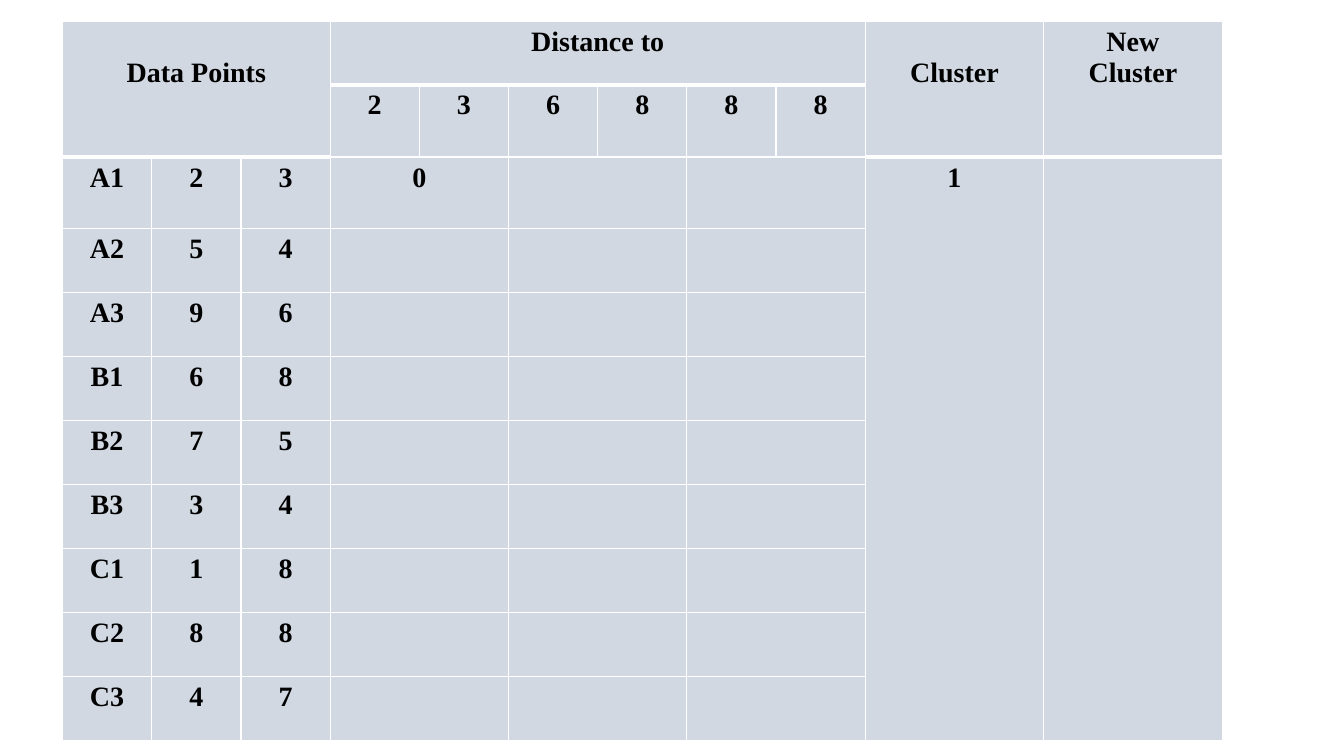
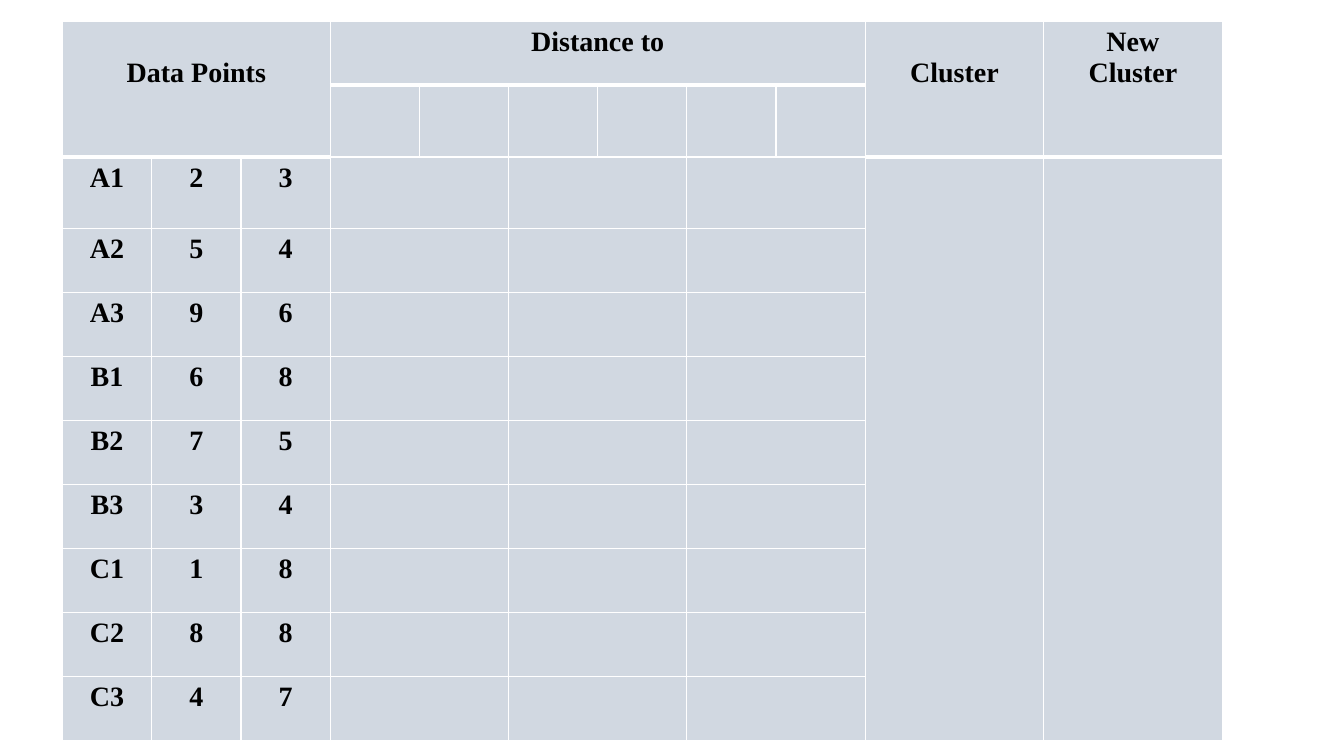
from dataclasses import dataclass

from lxml.etree import SubElement
from pptx import Presentation
from pptx.dml.color import RGBColor
from pptx.enum.text import PP_ALIGN
from pptx.oxml.ns import qn
from pptx.util import Inches, Pt


@dataclass(frozen=True)
class Theme:
    font: str = "Times New Roman"
    size: int = 20
    text: str = "000000"
    fill: str = "ADB9CA"
    opacity: int = 55
    rule: str = "FFFFFF"
    rule_width: int = 3


THEME = Theme()

POINTS = [("A1", 2, 3), ("A2", 5, 4), ("A3", 9, 6),
          ("B1", 6, 8), ("B2", 7, 5), ("B3", 3, 4),
          ("C1", 1, 8), ("C2", 8, 8), ("C3", 4, 7)]

# Header cells: row, column, row span, column span, text, top margin
HEADERS = [(0, 0, 2, 3, "Data Points", 0.36),
           (0, 3, 1, 6, "Distance to", 0.05),
           (0, 9, 2, 1, "Cluster", 0.36),
           (0, 10, 2, 1, "New\nCluster", 0.05)]

COLUMNS = [0.885] * 9 + [1.77] * 2
ROWS = [0.63, 0.71, 0.71] + [0.635] * 8
CENTROID_COLUMNS = range(3, 9)
DISTANCE_COLUMNS = range(3, 9, 2)
CLUSTER_COLUMNS = (9, 10)


def write(cell, text):
    cell.text = str(text)
    for p in cell.text_frame.paragraphs:
        p.alignment = PP_ALIGN.CENTER
        p.font.name = THEME.font
        p.font.size = Pt(THEME.size)
        p.font.bold = True
        p.font.color.rgb = RGBColor.from_string(THEME.text)


def merge(table, row, col, rows, cols):
    cell = table.cell(row, col)
    if rows * cols > 1:
        cell.merge(table.cell(row + rows - 1, col + cols - 1))
    return cell


def underline(cell):
    ln = SubElement(cell._tc.get_or_add_tcPr(), qn("a:lnB"),
                    w=str(Pt(THEME.rule_width)))
    fill = SubElement(ln, qn("a:solidFill"))
    SubElement(fill, qn("a:srgbClr"), val=THEME.rule)


def tint(cell):
    cell.fill.solid()
    cell.fill.fore_color.rgb = RGBColor.from_string(THEME.fill)
    color = cell._tc.tcPr.find(qn("a:solidFill")).find(qn("a:srgbClr"))
    SubElement(color, qn("a:alpha"), val=str(THEME.opacity * 1000))


def add_header(table, centroids):
    for row, col, rows, cols, text, top in HEADERS:
        cell = merge(table, row, col, rows, cols)
        write(cell, text)
        cell.margin_top = Inches(top)
        for r in range(row, row + rows):
            for c in range(col, col + cols):
                underline(table.cell(r, c))
    for col, value in zip(CENTROID_COLUMNS, centroids):
        write(table.cell(1, col), value)


def add_body(table, results):
    for row, point in enumerate(POINTS, start=2):
        for col, value in enumerate(point):
            write(table.cell(row, col), value)
        for col in DISTANCE_COLUMNS:
            merge(table, row, col, 1, 2)
    for col in CLUSTER_COLUMNS:
        merge(table, 2, col, len(POINTS), 1)
    for (row, col), value in results.items():
        write(table.cell(row, col), value)


def add_cluster_slide(prs, centroids=(), results=None):
    s = prs.slides.add_slide(prs.slide_layouts[6])
    table = s.shapes.add_table(len(ROWS), len(COLUMNS), Inches(0.62), Inches(0.21),
                               Inches(sum(COLUMNS)), Inches(sum(ROWS))).table
    table.first_row = table.horz_banding = False
    for column, width in zip(table.columns, COLUMNS):
        column.width = Inches(width)
    for row, height in zip(table.rows, ROWS):
        row.height = Inches(height)

    add_header(table, centroids)
    add_body(table, results or {})
    for cell in table.iter_cells():
        tint(cell)


def main():
    prs = Presentation()
    prs.slide_width, prs.slide_height = Inches(13.33), Inches(7.5)
    # First step: starting centroids, with A1 assigned to cluster 1
    add_cluster_slide(prs, (2, 3, 6, 8, 8, 8), {(2, 3): 0, (2, 9): 1})
    # Empty grid for the next step
    add_cluster_slide(prs)
    prs.save("out.pptx")


if __name__ == "__main__":
    main()
